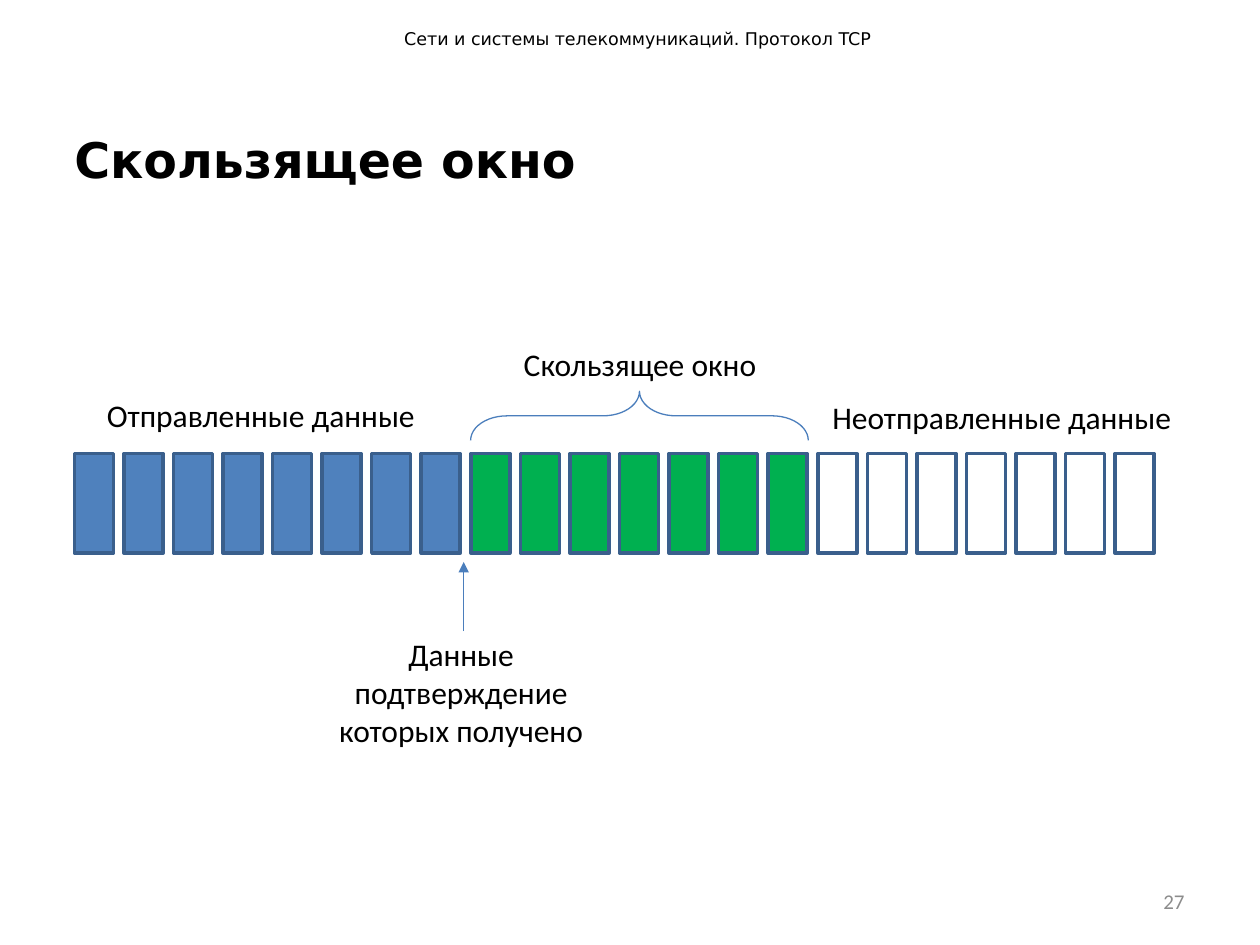
"""Build the sliding window slide of the TCP lecture."""
from lxml import etree
from pptx import Presentation
from pptx.dml.color import RGBColor
from pptx.enum.shapes import MSO_CONNECTOR, MSO_SHAPE
from pptx.enum.text import MSO_ANCHOR, PP_ALIGN
from pptx.oxml.ns import qn
from pptx.util import Inches, Pt

RECT, BRACE = MSO_SHAPE.RECTANGLE, MSO_SHAPE.LEFT_BRACE
STRAIGHT = MSO_CONNECTOR.STRAIGHT
TOP, MIDDLE = MSO_ANCHOR.TOP, MSO_ANCHOR.MIDDLE
LEFT, CENTER, RIGHT = PP_ALIGN.LEFT, PP_ALIGN.CENTER, PP_ALIGN.RIGHT
SANS, BODY = "DejaVu Sans", "Calibri"
BLACK, GRAY, EDGE, THIN = "000000", "8C8C8C", "3A5F8C", "4B7EBC"


def rgb(value):
    return RGBColor.from_string(value)


def add_text(s, text, box, size, font=BODY, color=BLACK, align=CENTER, bold=False, frame=None):
    tf = s.shapes.add_textbox(*map(Inches, box)).text_frame
    for name, value in {"word_wrap": True, "vertical_anchor": TOP, **(frame or {})}.items():
        setattr(tf, name, value)
    p = tf.paragraphs[0]
    p.alignment = align
    r = p.add_run()
    r.text = text
    for name, value in {"name": font, "size": Pt(size), "bold": bold}.items():
        setattr(r.font, name, value)
    r.font.color.rgb = rgb(color)


prs = Presentation()
prs.slide_width, prs.slide_height = Inches(10), Inches(7.5)
s = prs.slides.add_slide(prs.slide_layouts[6])

no_margins = {f"margin_{side}": 0 for side in ("left", "top", "right", "bottom")}
add_text(s, "Сети и системы телекоммуникаций. Протокол TCP", (3.11, 0.17, 6.85, 0.27), 10, SANS, align=LEFT)
add_text(s, "Скользящее окно", (0.59, 1.03, 8.98, 0.47), 28, SANS, align=LEFT, bold=True, frame=no_margins)
add_text(s, "27", (7.17, 6.95, 2.33, 0.4), 12, color=GRAY, align=RIGHT, frame={"vertical_anchor": MIDDLE})

fills = ["4F81BD"] * 8 + ["00B050"] * 7 + ["FFFFFF"] * 7
first, last = 0.59, 8.85
pitch = (last - first) / (len(fills) - 1)
for i, fill in enumerate(fills):
    sp = s.shapes.add_shape(RECT, *map(Inches, (first + i * pitch, 3.6, 0.31, 0.79)))
    sp.shadow.inherit = False
    sp.fill.solid()
    sp.fill.fore_color.rgb = rgb(fill)
    sp.line.color.rgb = rgb(EDGE)
    sp.line.width = Pt(2)

arrow = s.shapes.add_connector(STRAIGHT, *map(Inches, (3.68, 5.01, 3.68, 4.46)))
arrow.line.color.rgb = rgb(THIN)
arrow.line.width = Pt(0.75)
etree.SubElement(arrow.line._get_or_add_ln(), qn("a:tailEnd"), type="triangle")
etree.SubElement(arrow._element.spPr, qn("a:effectLst"))

brace = s.shapes.add_shape(BRACE, *map(Inches, (4.88, 1.96, 0.39, 2.68)))
brace.rotation = 90
brace.adjustments[0], brace.adjustments[1] = 0.74, 0.5
brace.shadow.inherit = False
brace.fill.background()
brace.line.color.rgb = rgb(THIN)
brace.line.width = Pt(0.75)

for text, box in (
    ("Данные подтверждение которых получено", (2.48, 4.99, 2.36, 1.01)),
    ("Скользящее окно", (3.9, 2.69, 2.36, 0.4)),
    ("Отправленные данные", (0.46, 3.09, 3.22, 0.4)),
    ("Неотправленные данные", (6.49, 3.11, 2.92, 0.4)),
):
    add_text(s, text, box, 18)

prs.save("out.pptx")
